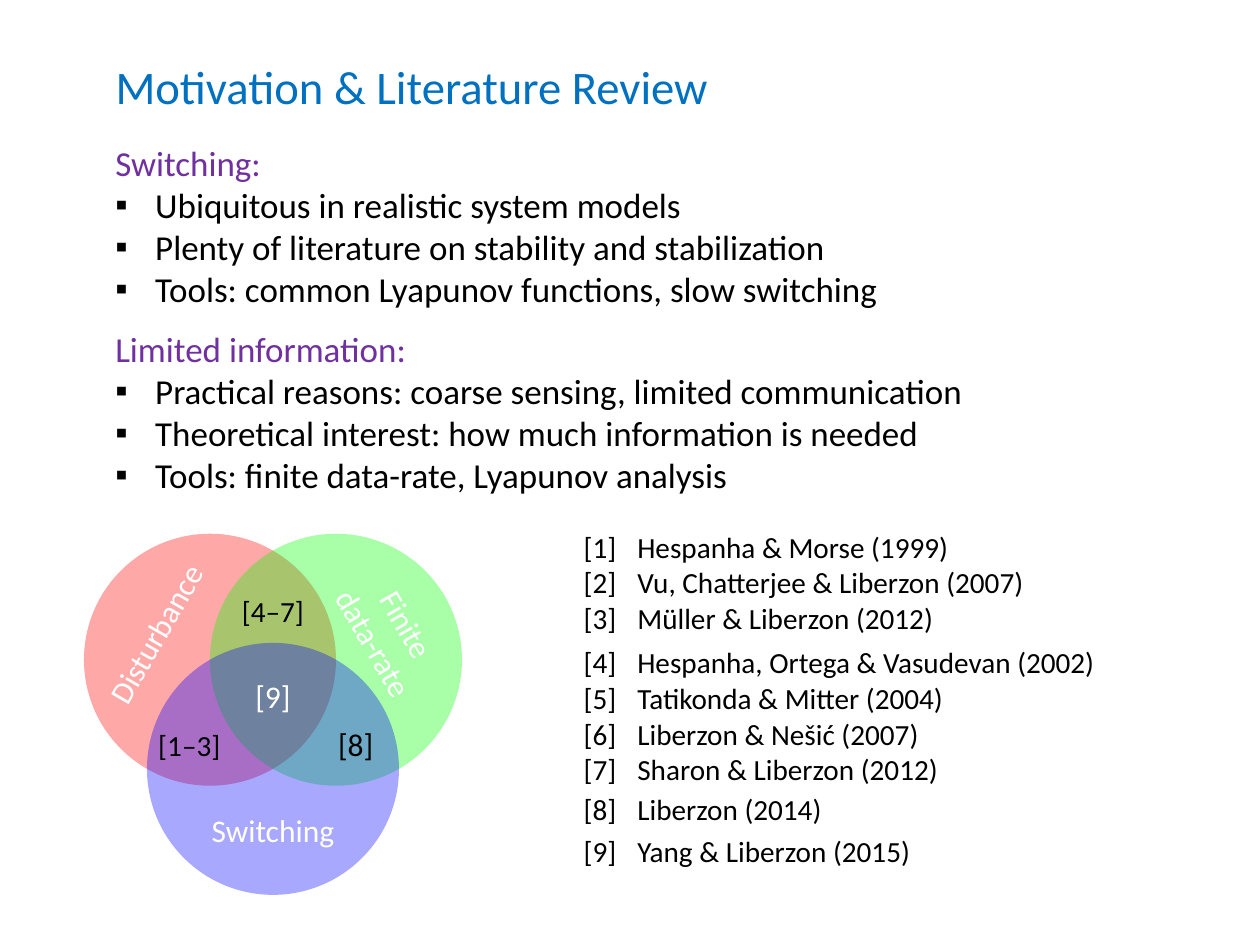
from itertools import count
from math import cos, radians, sin

from lxml import etree
from pptx import Presentation
from pptx.dml import color
from pptx.enum import shapes, text
from pptx.oxml import ns
from pptx.util import Inches, Pt

# Content
TITLE = "Motivation & Literature Review"
TOPICS = [
    ("Switching:", ["Ubiquitous in realistic system models",
                    "Plenty of literature on stability and stabilization",
                    "Tools: common Lyapunov functions, slow switching"]),
    ("Limited information:", ["Practical reasons: coarse sensing, limited communication",
                              "Theoretical interest: how much information is needed",
                              "Tools: finite data-rate, Lyapunov analysis"]),
]
# Circles: label lines, colour, circle angle, label angle, label turn
CIRCLES = [
    (["Disturbance"], "FF0000", 210, 208, 300),
    (["Finite", "data-rate"], "00FF00", -30, -28, 60),
    (["Switching"], "0000FF", 90, 90, 0),
]
# Overlaps: label, size, colour, angle, distance from the diagram's middle
OVERLAPS = [
    ("[4–7]", 20, "000000", -90, 0.81),
    ("[1–3]", 20, "000000", 150, 0.92),
    ("[8]", 21.6, "000000", 30, 0.91),
    ("[9]", 21.6, "FFFFFF", 0, 0),
]
# References: top row, entries
REFERENCES = [
    (5, ["Hespanha & Morse (1999)", "Vu, Chatterjee & Liberzon (2007)",
         "Müller & Liberzon (2012)"]),
    (6.1, ["Hespanha, Ortega & Vasudevan (2002)", "Tatikonda & Mitter (2004)",
           "Liberzon & Nešić (2007)", "Sharon & Liberzon (2012)"]),
    (7.5, ["Liberzon (2014)"]),
    (7.9, ["Yang & Liberzon (2015)"]),
]

# Grid of 12 columns by 9 rows, one inch each
COLUMNS, ROWS = 12, 9
FONT = "Calibri"
BLACK, WHITE, BLUE, PURPLE = "000000", "FFFFFF", "0070C0", "7030A0"
LEFT, CENTER, RIGHT = text.PP_ALIGN.LEFT, text.PP_ALIGN.CENTER, text.PP_ALIGN.RIGHT
MIDDLE_X, MIDDLE_Y = 2.6, 6.63
DIAMETER = 2.4
CIRCLE_DISTANCE = DIAMETER / 2 / 3 ** 0.5
LABEL_DISTANCE = 1.27
TABLE_LEFT, TABLE_WIDTHS = 5.4, (0.57, 4.63)
INDENT = 0.38

deck = Presentation()
deck.slide_width, deck.slide_height = Inches(COLUMNS), Inches(ROWS)
page = deck.slides.add_slide(deck.slide_layouts[5])


def rgb(value):
    return color.RGBColor.from_string(value)


def area(left, top, width, height):
    return [Inches(length) for length in (left, top, width, height)]


def around(angle, distance, width, height):
    """Area centred at a polar position around the diagram's middle."""
    x = MIDDLE_X + distance * cos(radians(angle))
    y = MIDDLE_Y + distance * sin(radians(angle))
    return area(x - width / 2, y - height / 2, width, height)


def write(frame, lines, size, shade, align=LEFT):
    """Fill a text frame with one paragraph per line."""
    for index, line in enumerate(lines):
        para = frame.paragraphs[0] if index == 0 else frame.add_paragraph()
        para.alignment = align
        span = para.add_run()
        span.text = line
        span.font.color.rgb = rgb(shade)
        for name, value in {"name": FONT, "size": Pt(size), "bold": False}.items():
            setattr(span.font, name, value)


def label(lines, size, shade, place):
    box = page.shapes.add_textbox(*place)
    settings = {"word_wrap": True, "margin_left": 0, "margin_right": 0,
                "vertical_anchor": text.MSO_ANCHOR.MIDDLE}
    for name, value in settings.items():
        setattr(box.text_frame, name, value)
    write(box.text_frame, lines, size, shade, CENTER)
    return box


def add_bullet(para):
    props = para._p.get_or_add_pPr()
    props.set("marL", str(Inches(INDENT)))
    props.set("indent", str(-Inches(INDENT)))
    etree.SubElement(props, ns.qn("a:buFont"), typeface="Arial")
    etree.SubElement(props, ns.qn("a:buChar"), char="▪")


# Title
title = page.shapes.title
title.left, title.top, title.width, title.height = area(1, 0.5, 8.3, 0.64)
title.text_frame.auto_size = text.MSO_AUTO_SIZE.NONE
title.text_frame.vertical_anchor = text.MSO_ANCHOR.MIDDLE
write(title.text_frame, [TITLE], 32, BLUE)

# Topics with bullets
body = page.shapes.add_textbox(*area(1, 1.3, 10, 3.5)).text_frame
body.word_wrap = True
write(body, [line for head, points in TOPICS for line in (head, *points)], 24, BLACK)
heads = [head for head, points in TOPICS]
for para in body.paragraphs:
    if para.text in heads:
        para.runs[0].font.color.rgb = rgb(PURPLE)
        para.space_before = Pt(0 if para.text == heads[0] else 12)
    else:
        add_bullet(para)

# Overlapping circles
for lines, shade, angle, label_angle, turn in CIRCLES:
    circle = page.shapes.add_shape(
        shapes.MSO_SHAPE.OVAL, *around(angle, CIRCLE_DISTANCE, DIAMETER, DIAMETER))
    circle.shadow.inherit = False
    circle.line.fill.background()
    circle.fill.solid()
    circle.fill.fore_color.rgb = rgb(shade)
    tint = circle.fill._xPr.find(".//" + ns.qn("a:srgbClr"))
    etree.SubElement(tint, ns.qn("a:alpha"), val="34000")
    height = 0.1 + 0.36 * len(lines)
    place = around(label_angle, LABEL_DISTANCE, 1.9, height)
    label(lines, 21.6, WHITE, place).rotation = turn

for caption, size, shade, angle, distance in OVERLAPS:
    label([caption], size, shade, around(angle, distance, 0.8, 0.46))

# Reference tables, numbered throughout
numbers = count(1)
for top, entries in REFERENCES:
    height = 0.1 + 0.33 * len(entries)
    table = page.shapes.add_table(
        1, 2, *area(TABLE_LEFT, top, sum(TABLE_WIDTHS), height)).table
    table.first_row = table.horz_banding = False
    marks = [f"[{next(numbers)}]" for entry in entries]
    for index, (lines, align) in enumerate([(marks, RIGHT), (entries, LEFT)]):
        table.columns[index].width = Inches(TABLE_WIDTHS[index])
        cell = table.cell(0, index)
        cell.fill.background()
        write(cell.text_frame, lines, 20, BLACK, align)

deck.save("out.pptx")
